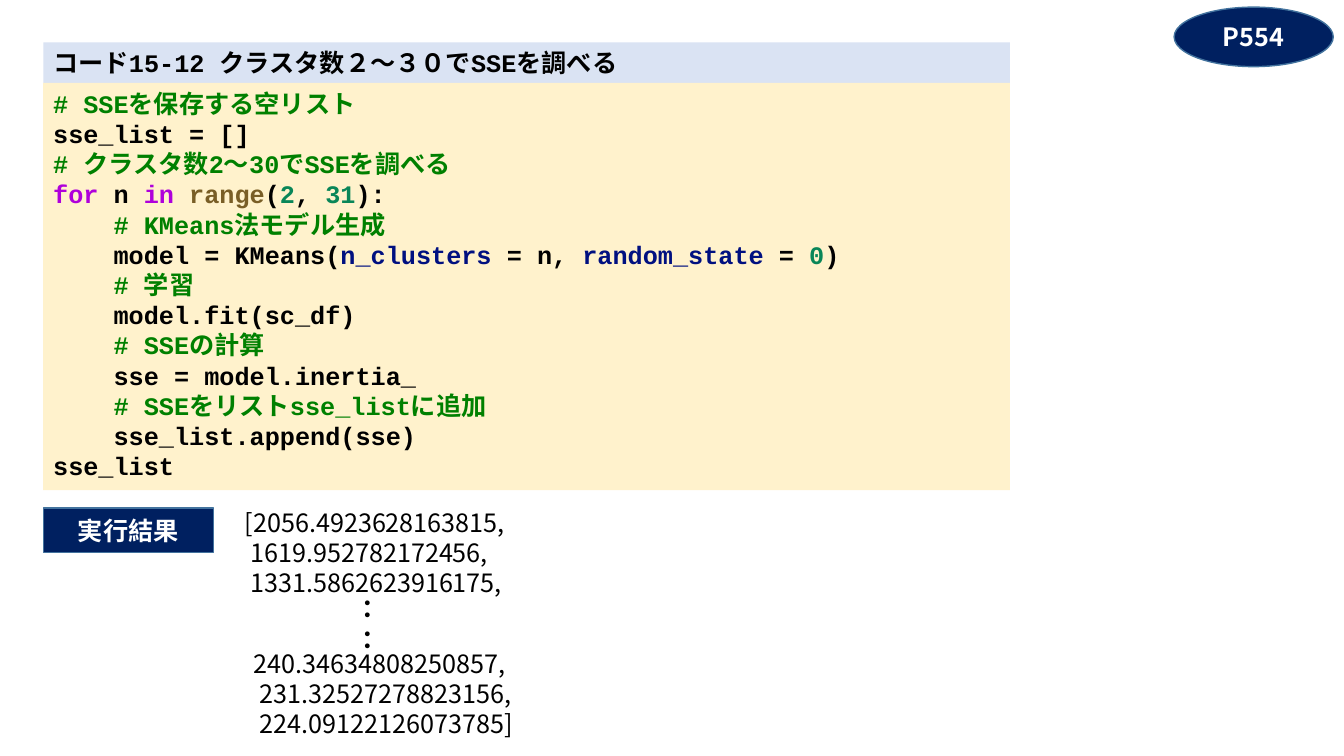
from dataclasses import dataclass
from pptx import Presentation
from pptx.dml.color import RGBColor
from pptx.enum.shapes import MSO_SHAPE
from pptx.enum.text import MSO_ANCHOR, PP_ALIGN
from pptx.util import Cm, Pt


@dataclass(frozen=True)
class Theme:
    code_font: str = "Courier New"
    text_font: str = "Noto Sans CJK JP"
    size: int = 18
    outline_width: int = 1
    plain: str = "000000"
    comment: str = "008000"
    keyword: str = "AF00DB"
    function: str = "795E26"
    number: str = "098658"
    argument: str = "001080"
    code_fill: str = "FFF2CC"
    heading_fill: str = "DAE3F3"
    badge_fill: str = "002060"
    badge_line: str = "43739E"
    badge_text: str = "FFFFFF"


THEME = Theme()
INDENT = "\u00a0 \u00a0 "

HEADING = "コード15-12 クラスタ数2～30でSSEを調べる".replace("数2～30", "数２～３０")
CODE = [
    [("# SSEを保存する空リスト", "comment")],
    [("sse_list = []", "plain")],
    [("# クラスタ数2～30でSSEを調べる", "comment")],
    [("for", "keyword"), (" n ", "plain"), ("in ", "keyword"),
     ("range", "function"), ("(", "plain"), ("2", "number"),
     (", ", "plain"), ("31", "number"), ("):", "plain")],
    [(INDENT, "plain"), ("# KMeans法モデル生成", "comment")],
    [(INDENT + "model = KMeans(", "plain"), ("n_clusters", "argument"),
     (" = n, ", "plain"), ("random_state", "argument"),
     (" = ", "plain"), ("0", "number"), (")", "plain")],
    [(INDENT, "plain"), ("# 学習", "comment")],
    [(INDENT + "model.fit(sc_df)", "plain")],
    [(INDENT, "plain"), ("# SSEの計算", "comment")],
    [(INDENT + "sse = model.inertia_ ", "plain")],
    [(INDENT, "plain"), ("# SSEをリストsse_listに追加", "comment")],
    [(INDENT + "sse_list.append(sse)", "plain")],
    [("sse_list", "plain")],
]
BADGES = [
    ("実行結果", MSO_SHAPE.RECTANGLE, (1.09, 12.8, 4.29, 1.12)),
    ("P554", MSO_SHAPE.OVAL, (29.59, 0.18, 4.01, 1.5)),
]
RESULTS = [
    (["[2056.4923628163815,", " 1619.952782172456,", " 1331.5862623916175,"],
     (5.92, 12.65, 16.94, 2.57), False),
    (["240.34634808250857,", " 231.32527278823156,", " 224.09122126073785]"],
     (6.15, 16.21, 16.94, 2.57), False),
    (["：", "："], (8.86, 14.81, 4.88, 1.8), True),
]
LEFT, TOP, WIDTH = 1.09, 1.07, 24.36
HEADING_HEIGHT, CODE_HEIGHT = 1.02, 10.26


def color(name):
    return RGBColor.from_string(getattr(THEME, name))


def place(shape, area):
    shape.left, shape.top, shape.width, shape.height = map(Cm, area)


def paint(shape, fill, line=None):
    shape.fill.solid()
    shape.fill.fore_color.rgb = color(fill)
    if line:
        shape.line.color.rgb = color(line)
        shape.line.width = Pt(THEME.outline_width)
    else:
        shape.line.fill.background()


def write(shape, lines, font, bold=False, align=PP_ALIGN.LEFT, anchor=MSO_ANCHOR.TOP):
    frame = shape.text_frame
    frame.word_wrap = True
    frame.vertical_anchor = anchor
    for index, line in enumerate(lines):
        para = frame.add_paragraph() if index else frame.paragraphs[0]
        para.alignment = align
        para.font.name = font
        para.font.size = Pt(THEME.size)
        para.font.bold = bold
        for text, kind in line:
            span = para.add_run()
            span.text = text
            span.font.color.rgb = color(kind)


def add_panel(page, preset, area, fill, line=None):
    panel = page.shapes.add_shape(preset, *map(Cm, area))
    panel.shadow.inherit = False
    paint(panel, fill, line)
    return panel


deck = Presentation()
deck.slide_width, deck.slide_height = Cm(33.87), Cm(19.05)
page = deck.slides.add_slide(deck.slide_layouts[5])

heading = page.shapes.title
place(heading, (LEFT, TOP, WIDTH, HEADING_HEIGHT))
paint(heading, "heading_fill")
write(heading, [[(HEADING, "plain")]], THEME.code_font, bold=True)

code_area = (LEFT, TOP + HEADING_HEIGHT, WIDTH, CODE_HEIGHT)
code_box = add_panel(page, MSO_SHAPE.RECTANGLE, code_area, "code_fill")
write(code_box, CODE, THEME.code_font, bold=True)

for label, preset, area in BADGES:
    badge = add_panel(page, preset, area, "badge_fill", "badge_line")
    write(badge, [[(label, "badge_text")]], THEME.text_font, True,
          PP_ALIGN.CENTER, MSO_ANCHOR.MIDDLE)

for lines, area, bold in RESULTS:
    box = page.shapes.add_textbox(*map(Cm, area))
    write(box, [[(line, "plain")] for line in lines], THEME.text_font, bold)

deck.save("out.pptx")
